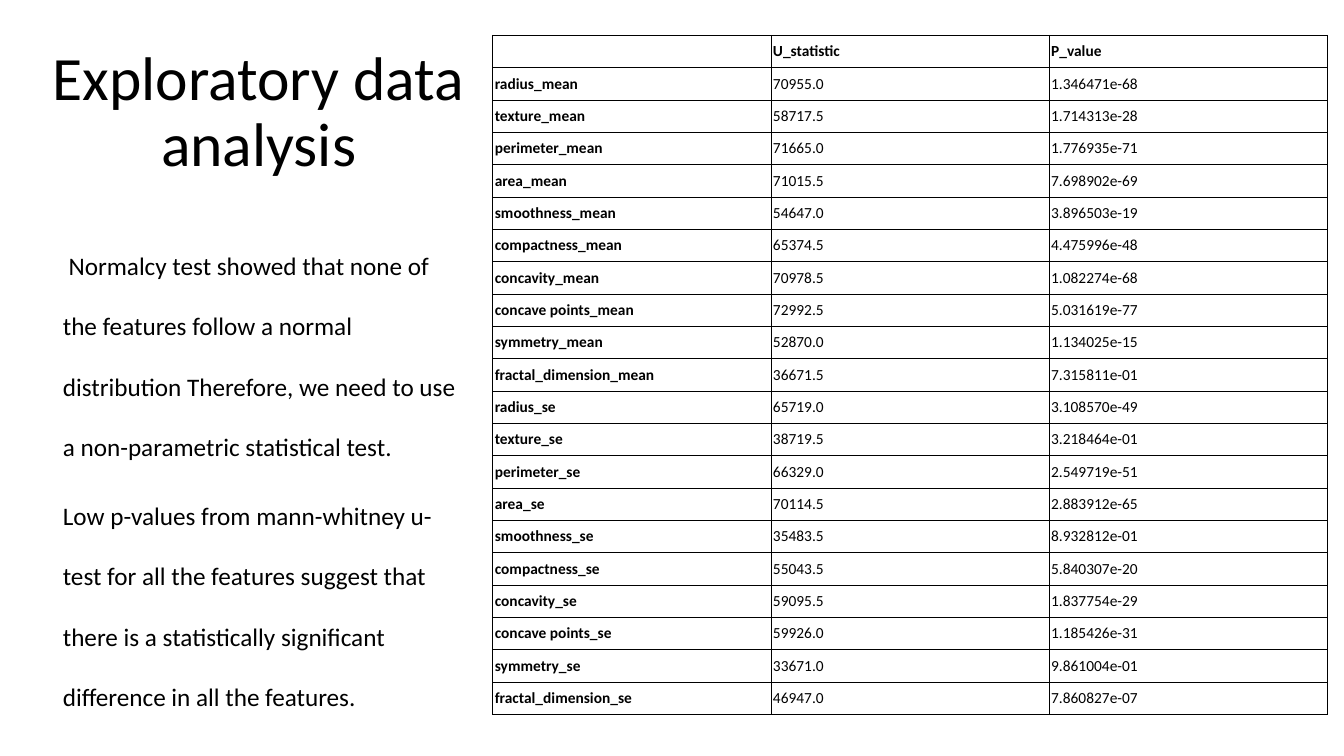
import dataclasses

import lxml.etree
import pptx
import pptx.dml.color
import pptx.enum.text
import pptx.oxml.ns
import pptx.util

Cm = pptx.util.Cm
Pt = pptx.util.Pt


@dataclasses.dataclass(frozen=True)
class Theme:
    font: str = "Calibri"
    ink: str = "000000"
    paper: str = "FFFFFF"
    title_size: int = 44
    body_size: int = 18
    cell_size: int = 11
    border_width: float = 0.75


THEME = Theme()

FINDINGS = [
    " Normalcy test showed that none of the features follow a normal "
    "distribution Therefore, we need to use a non-parametric statistical test.",
    "Low p-values from mann-whitney u-test for all the features suggest that "
    "there is a statistically significant difference in all the features.",
]

TEST_RESULTS = [
    ("", "U_statistic", "P_value"),
    ("radius_mean", "70955.0", "1.346471e-68"),
    ("texture_mean", "58717.5", "1.714313e-28"),
    ("perimeter_mean", "71665.0", "1.776935e-71"),
    ("area_mean", "71015.5", "7.698902e-69"),
    ("smoothness_mean", "54647.0", "3.896503e-19"),
    ("compactness_mean", "65374.5", "4.475996e-48"),
    ("concavity_mean", "70978.5", "1.082274e-68"),
    ("concave points_mean", "72992.5", "5.031619e-77"),
    ("symmetry_mean", "52870.0", "1.134025e-15"),
    ("fractal_dimension_mean", "36671.5", "7.315811e-01"),
    ("radius_se", "65719.0", "3.108570e-49"),
    ("texture_se", "38719.5", "3.218464e-01"),
    ("perimeter_se", "66329.0", "2.549719e-51"),
    ("area_se", "70114.5", "2.883912e-65"),
    ("smoothness_se", "35483.5", "8.932812e-01"),
    ("compactness_se", "55043.5", "5.840307e-20"),
    ("concavity_se", "59095.5", "1.837754e-29"),
    ("concave points_se", "59926.0", "1.185426e-31"),
    ("symmetry_se", "33671.0", "9.861004e-01"),
    ("fractal_dimension_se", "46947.0", "7.860827e-07"),
]


def add_element(parent, tag, **attributes):
    return lxml.etree.SubElement(parent, pptx.oxml.ns.qn(tag), attributes)


def set_font(paragraph, size, bold=False):
    font = paragraph.font
    font.name = THEME.font
    font.size = Pt(size)
    font.bold = bold
    font.color.rgb = pptx.dml.color.RGBColor.from_string(THEME.ink)


def place(box, left, top, width, height):
    box.left, box.top, box.width, box.height = map(Cm, (left, top, width, height))
    box.text_frame.word_wrap = True
    box.text_frame.auto_size = pptx.enum.text.MSO_AUTO_SIZE.NONE


def fill_title(box, text):
    box.text_frame.text = text
    box.text_frame.vertical_anchor = pptx.enum.text.MSO_ANCHOR.MIDDLE
    paragraph = box.text_frame.paragraphs[0]
    paragraph.alignment = pptx.enum.text.PP_ALIGN.CENTER
    paragraph.line_spacing = 0.9
    set_font(paragraph, THEME.title_size)


def fill_body(box, texts):
    box.text_frame.text = "\n".join(texts)
    for paragraph in box.text_frame.paragraphs:
        paragraph.level = 1
        paragraph.line_spacing = 2.0
        paragraph.space_before = Pt(0)
        paragraph.space_after = Pt(6)
        # Indented text without a bullet
        properties = paragraph._p.get_or_add_pPr()
        properties.set("marL", str(Cm(0.64)))
        properties.set("indent", "0")
        add_element(properties, "a:buNone")
        set_font(paragraph, THEME.body_size)


def add_borders(cell):
    properties = cell._tc.get_or_add_tcPr()
    for side in ("a:lnL", "a:lnR", "a:lnT", "a:lnB"):
        line = add_element(properties, side, w=str(Pt(THEME.border_width)))
        add_element(add_element(line, "a:solidFill"), "a:srgbClr", val=THEME.ink)


def fill_cell(cell, text, bold):
    cell.text = text
    cell.vertical_anchor = pptx.enum.text.MSO_ANCHOR.MIDDLE
    cell.margin_left = cell.margin_right = Cm(0.05)
    cell.margin_top = cell.margin_bottom = Cm(0.05)
    add_borders(cell)
    cell.fill.solid()
    cell.fill.fore_color.rgb = pptx.dml.color.RGBColor.from_string(THEME.paper)
    paragraph = cell.text_frame.paragraphs[0]
    set_font(paragraph, THEME.cell_size, bold)
    if not text:
        # Keeps the row of an empty cell from growing
        add_element(paragraph._p, "a:endParaRPr", sz=str(THEME.cell_size * 100))


def add_results_table(page, rows, left, top, width, height):
    frame = page.shapes.add_table(
        len(rows), len(rows[0]), Cm(left), Cm(top), Cm(width), Cm(height))
    table = frame.table
    table.first_row = table.horz_banding = False
    for row, texts in enumerate(rows):
        for column, text in enumerate(texts):
            fill_cell(table.cell(row, column), text, bold=row == 0 or column == 0)


def main():
    deck = pptx.Presentation()
    deck.slide_width, deck.slide_height = Cm(33.87), Cm(19.05)
    page = deck.slides.add_slide(deck.slide_layouts[1])
    title, body = page.placeholders

    # Heading and findings on the left
    place(title, 1.07, 0.53, 10.9, 4.65)
    fill_title(title, "Exploratory data analysis")
    place(body, 0.69, 5.41, 11.25, 13.08)
    fill_body(body, FINDINGS)

    # Test results on the right
    add_results_table(page, TEST_RESULTS, 12.42, 0.89, 21.03, 17.12)

    deck.save("out.pptx")


if __name__ == "__main__":
    main()
